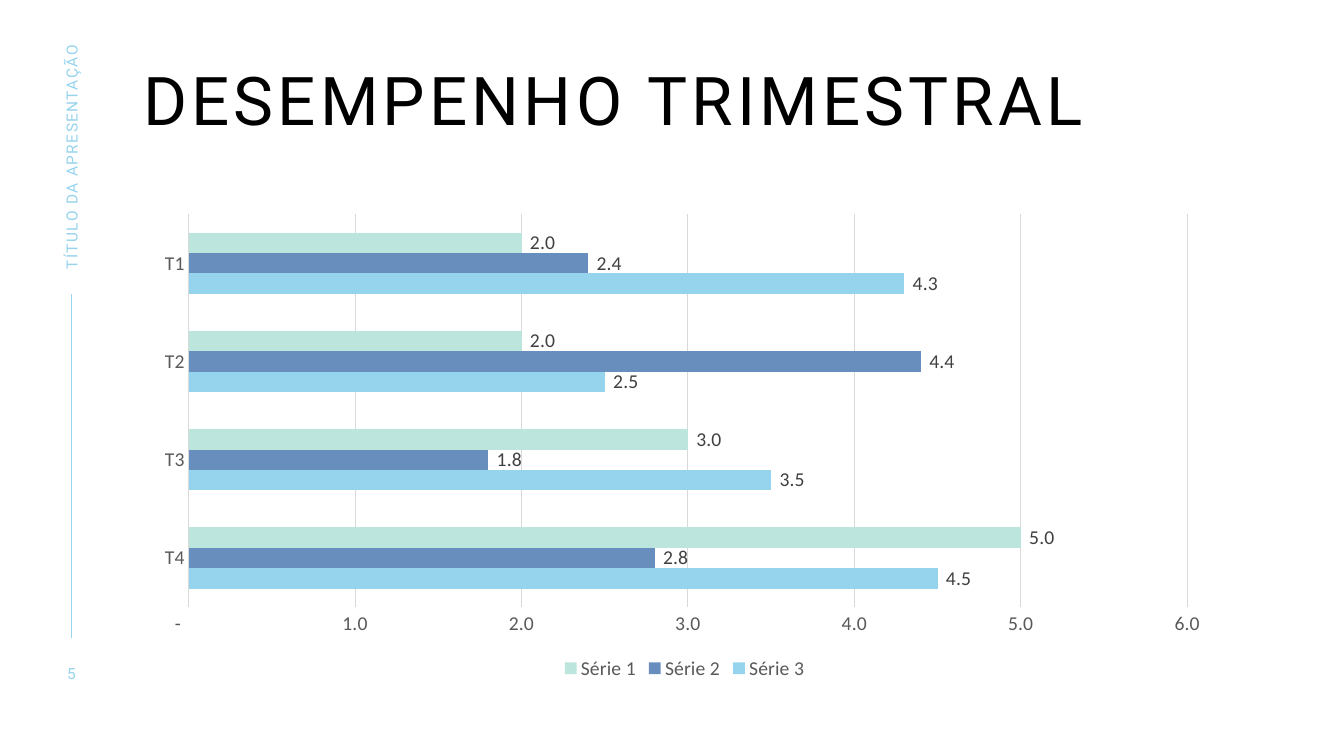
import pptx
import pptx.chart.data
import pptx.dml.color
import pptx.enum.chart
import pptx.enum.shapes
import pptx.enum.text
import pptx.oxml.ns
import pptx.util
from lxml import etree

Inches, Pt = pptx.util.Inches, pptx.util.Pt
RGBColor = pptx.dml.color.RGBColor
Align, Anchor = pptx.enum.text.PP_ALIGN, pptx.enum.text.MSO_ANCHOR

BLACK = RGBColor(0x00, 0x00, 0x00)
LABEL_GRAY = RGBColor(0x40, 0x40, 0x40)
AXIS_GRAY = RGBColor(0x59, 0x59, 0x59)
GRID_GRAY = RGBColor(0xD9, 0xD9, 0xD9)
SKY = RGBColor(0x96, 0xD3, 0xED)
BLUE = RGBColor(0x68, 0x8E, 0xBD)
MINT = RGBColor(0xBC, 0xE5, 0xDD)

NUMBER_FORMAT = '_(* #,##0.0_);_(* \\(#,##0.0\\);_(* "-"??_);_(@_)'
CONTENT_LEFT = Inches(1.42)
RAIL_CENTER = Inches(0.71)

presentation = pptx.Presentation()
presentation.slide_width = Inches(13.33)
presentation.slide_height = Inches(7.5)
slide = presentation.slides.add_slide(presentation.slide_layouts[5])


def write_text(shape, text, size=11, color=SKY, spacing=1, align=Align.LEFT,
               anchor=Anchor.MIDDLE, line_spacing=1.0):
    """Fill a shape with one Roboto paragraph; spacing is points between letters."""
    frame = shape.text_frame
    frame.margin_left = frame.margin_right = frame.margin_top = frame.margin_bottom = 0
    frame.auto_size = pptx.enum.text.MSO_AUTO_SIZE.NONE
    frame.word_wrap = True
    frame.vertical_anchor = anchor
    paragraph = frame.paragraphs[0]
    paragraph.alignment = align
    paragraph.line_spacing = line_spacing
    run = paragraph.add_run()
    run.text = text
    run.font.name = "Roboto"
    run.font.size = Pt(size)
    run.font.color.rgb = color
    run.font._element.set("spc", str(spacing * 100))


def format_font(font, color):
    font.name = "Calibri"
    font.size = Pt(14)
    font.color.rgb = color


# Title
title = slide.shapes.title
title.left, title.top = CONTENT_LEFT, Inches(0.67)
title.width, title.height = Inches(11), Inches(1)
write_text(title, "DESEMPENHO\u00a0TRIMESTRAL".replace("\u00a0", chr(160)), size=48,
           color=BLACK, spacing=3, anchor=Anchor.TOP, line_spacing=0.9)

# Side rail: rotated heading, line and page number
heading_width, heading_height = Inches(2.43), Inches(0.19)
heading = slide.shapes.add_textbox(RAIL_CENTER - heading_width // 2, Inches(1.36),
                                   heading_width, heading_height)
heading.rotation = 270
write_text(heading, "TÍTULO DA APRESENTAÇÃO")

rail = slide.shapes.add_connector(pptx.enum.shapes.MSO_CONNECTOR.STRAIGHT,
                                  RAIL_CENTER, Inches(2.92), RAIL_CENTER, Inches(6.33))
rail.line.color.rgb = SKY
rail.line.width = Pt(1)
etree.SubElement(rail._element.spPr, pptx.oxml.ns.qn("a:effectLst"))

number_width = Inches(0.5)
page_number = slide.shapes.add_textbox(RAIL_CENTER - number_width // 2, Inches(6.58),
                                       number_width, Inches(0.2))
write_text(page_number, "5", spacing=2, align=Align.CENTER)

# Chart: bars stack upwards, so the last quarter and series come first
series_rows = [
    ("Série 3", (4.5, 3.5, 2.5, 4.3), SKY),
    ("Série 2", (2.8, 1.8, 4.4, 2.4), BLUE),
    ("Série 1", (5.0, 3.0, 2.0, 2.0), MINT),
]
chart_data = pptx.chart.data.CategoryChartData(number_format=NUMBER_FORMAT)
chart_data.categories = ["T4", "T3", "T2", "T1"]
for name, values, color in series_rows:
    chart_data.add_series(name, values)

chart = slide.shapes.add_chart(pptx.enum.chart.XL_CHART_TYPE.BAR_CLUSTERED,
                               CONTENT_LEFT, Inches(2.03), Inches(10.74), Inches(4.76),
                               chart_data).chart
chart.has_title = False
chart.font.name = "Roboto Condensed"
chart.font.size = Pt(14)
chart.font.color.rgb = BLACK

plot = chart.plots[0]
plot.gap_width = 182
plot.overlap = 0
plot.vary_by_categories = False
for series, (name, values, color) in zip(plot.series, series_rows):
    series.format.fill.solid()
    series.format.fill.fore_color.rgb = color
    series.invert_if_negative = False
    labels = series.data_labels
    labels.show_value = True
    labels.position = pptx.enum.chart.XL_LABEL_POSITION.OUTSIDE_END
    labels.number_format = NUMBER_FORMAT
    labels.number_format_is_linked = False
    format_font(labels.font, LABEL_GRAY)

for axis in (chart.category_axis, chart.value_axis):
    axis.major_tick_mark = axis.minor_tick_mark = pptx.enum.chart.XL_TICK_MARK.NONE
    format_font(axis.tick_labels.font, AXIS_GRAY)

value_axis = chart.value_axis
value_axis.minimum_scale, value_axis.maximum_scale, value_axis.major_unit = 0, 6, 1
value_axis.tick_labels.number_format = NUMBER_FORMAT
value_axis.tick_labels.number_format_is_linked = False
value_axis.format.line.fill.background()
for line in (chart.category_axis.format.line, value_axis.major_gridlines.format.line):
    line.color.rgb = GRID_GRAY
    line.width = Pt(0.75)

chart.has_legend = True
chart.legend.position = pptx.enum.chart.XL_LEGEND_POSITION.BOTTOM
chart.legend.include_in_layout = False
format_font(chart.legend.font, AXIS_GRAY)

presentation.save("out.pptx")
